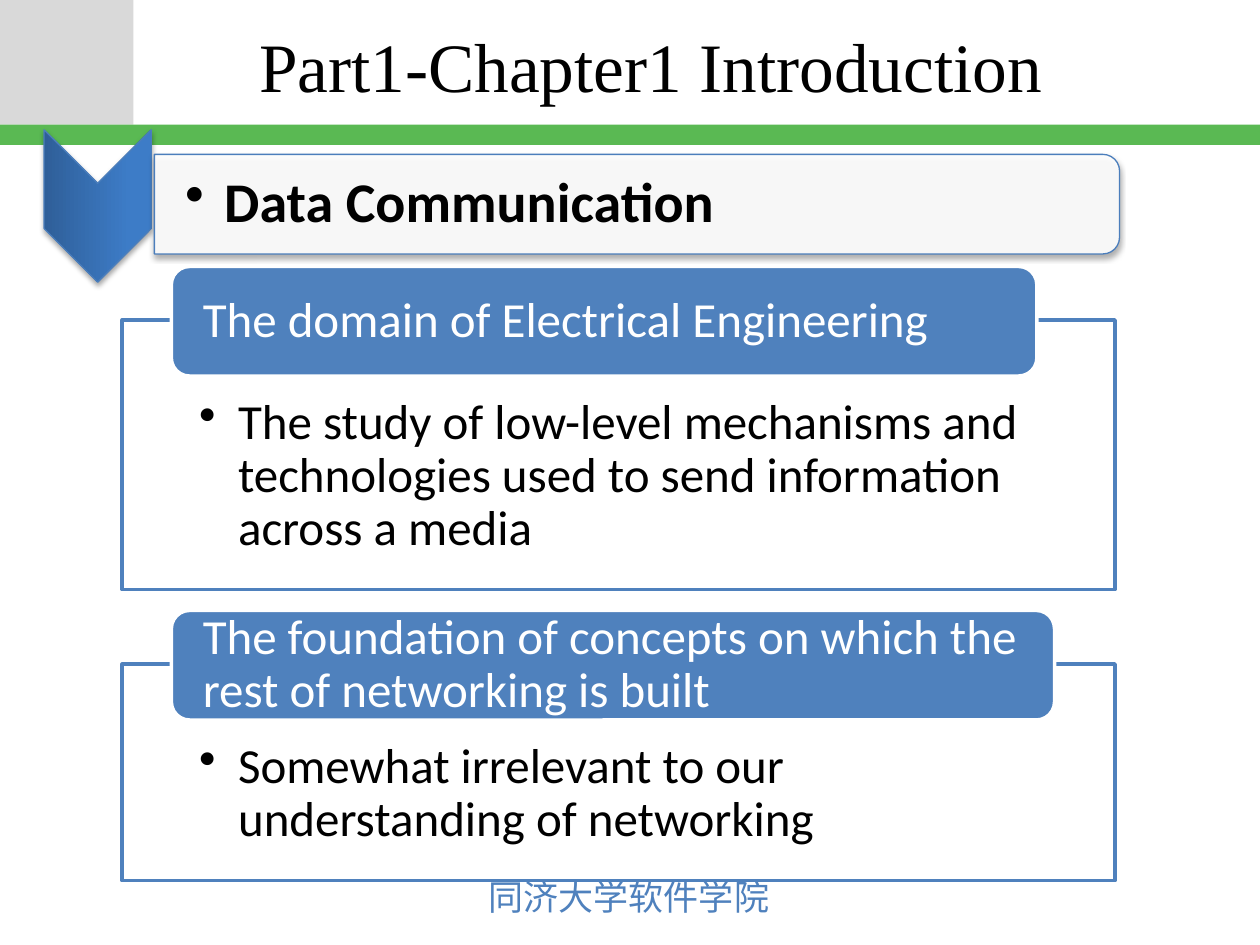
from lxml.etree import SubElement as Sub
from pptx import Presentation
from pptx.dml.color import RGBColor
from pptx.enum.shapes import MSO_SHAPE as Kind
from pptx.enum.text import MSO_ANCHOR as Anchor, PP_ALIGN as Align
from pptx.oxml.ns import qn
from pptx.util import Inches, Pt

WIDE, HIGH = Inches(10), Inches(7.5)
COLS, ROWS = 100, 75
BLUE, EDGE, WHITE, BLACK = "4F81BD", "4B7EBC", "FFFFFF", "000000"
LEFT, SPAN = 9.7, 78.8
TAB = 8.7


def paint(target, code):
    target.rgb = RGBColor.from_string(code)


def place(col, row, cols, rows):
    return (round(WIDE * col / COLS), round(HIGH * row / ROWS),
            round(WIDE * cols / COLS), round(HIGH * rows / ROWS))


def block(slide, kind, spot, fill=None, line=None, weight=2, turn=0):
    shape = slide.shapes.add_shape(kind, *place(*spot))
    shape.shadow.inherit = False
    shape.rotation = turn
    if fill:
        shape.fill.solid()
        paint(shape.fill.fore_color, fill)
    if line:
        paint(shape.line.color, line)
        shape.line.width = Pt(weight)
    else:
        shape.line.fill.background()
    return shape


def fade(shape, share):
    tint = shape.element.spPr.find(qn("a:solidFill"))[0]
    Sub(tint, qn("a:alpha"), val=str(share * 1000))


def shade(shape):
    list_ = shape.element.spPr.find(qn("a:effectLst"))
    drop = Sub(list_, qn("a:outerShdw"), blurRad=str(Pt(3.1)),
               dist=str(Pt(1.8)), dir="5400000", rotWithShape="0")
    tint = Sub(drop, qn("a:srgbClr"), val=BLACK)
    Sub(tint, qn("a:alpha"), val="35000")


def write(slide, spot, words, size, color, font="Calibri", bold=False,
          pads=(0, 0, 0, 0), anchor=Anchor.MIDDLE, align=Align.LEFT,
          dot=False, wrap=True, pitch=0.9):
    frame = slide.shapes.add_textbox(*place(*spot)).text_frame
    frame.word_wrap = wrap
    frame.vertical_anchor = anchor
    (frame.margin_left, frame.margin_top,
     frame.margin_right, frame.margin_bottom) = map(Inches, pads)
    para = frame.paragraphs[0]
    para.alignment = align
    para.line_spacing = pitch
    if dot:
        props = para._p.get_or_add_pPr()
        props.set("marL", str(Inches(0.31)))
        props.set("indent", str(-Inches(0.31)))
        Sub(props, qn("a:buChar"), char="•")
    run = para.add_run()
    run.text = words
    run.font.size = Pt(size)
    run.font.bold = bold
    run.font.name = font
    paint(run.font.color, color)
    Sub(run._r.get_or_add_rPr(), qn("a:ea"), typeface=font)


def frame_page(slide):
    block(slide, Kind.RECTANGLE, (0, 0, 10.6, 9.9), "D9D9D9")
    block(slide, Kind.RECTANGLE, (0, 9.9, COLS, 1.6), "5AB953")
    write(slide, (37.8, 69, 24.5, 4.4), "同济大学软件学院", 20, BLUE,
          "Noto Sans CJK JP", pads=(0.1, 0.05, 0.1, 0.05),
          anchor=Anchor.TOP, wrap=False, pitch=1)
    write(slide, (17.4, 0.2, 68.5, 9.8), "Part1-Chapter1 Introduction",
          39.6, BLACK, "Times New Roman", align=Align.CENTER, pitch=1)


def banner(slide, words):
    arrow = block(slide, Kind.CHEVRON, (1.7, 12.1, 12.1, 8.5),
                  line=EDGE, weight=0.75, turn=90)
    arrow.fill.gradient()
    arrow.fill.gradient_angle = 90
    stops = arrow.fill.gradient_stops
    for stop, spot, code in zip(stops, (0, 0.8), ("2F5F99", "3D7CC7")):
        stop.position = spot
        paint(stop.color, code)
    bar = block(slide, Kind.ROUND_2_SAME_RECTANGLE,
                (46.6, -22.1, 7.9, 76.6), WHITE, EDGE, 0.75, 90)
    fade(bar, 90)
    shade(arrow)
    shade(bar)
    write(slide, (12.2, 12.7, 76.3, 7.1), words, 32, BLACK, bold=True,
          pads=(0.25, 0.02, 0.02, 0.02), dot=True)


def panel(slide, top, rows, cols, head, body):
    spot = LEFT, top, SPAN, rows
    fade(block(slide, Kind.RECTANGLE, spot, WHITE, BLUE), 90)
    write(slide, spot, body, 28, BLACK, pads=(0.61, 0.61, 0.61, 0.22),
          anchor=Anchor.TOP, dot=True)
    col, row = LEFT + 3.9, top - TAB / 2 + 0.1
    block(slide, Kind.ROUNDED_RECTANGLE, (col, row, cols, TAB), BLUE, WHITE)
    write(slide, (col + 0.4, row + 0.4, cols - 0.8, TAB - 0.8), head,
          28, WHITE, pads=(0.21, 0, 0.21, 0))


def main():
    deck = Presentation()
    deck.slide_width, deck.slide_height = WIDE, HIGH
    slide = deck.slides.add_slide(deck.slide_layouts[6])
    frame_page(slide)
    banner(slide, "Data Communication")
    panel(slide, 25.4, 21.4, 68.7, "The domain of Electrical Engineering",
          "The study of low-level mechanisms and technologies used to send "
          "information across a media")
    panel(slide, 52.7, 17.2, 70.1,
          "The foundation of concepts on which the rest of networking is built",
          "Somewhat irrelevant to our understanding of networking")
    deck.save("out.pptx")


if __name__ == "__main__":
    main()
